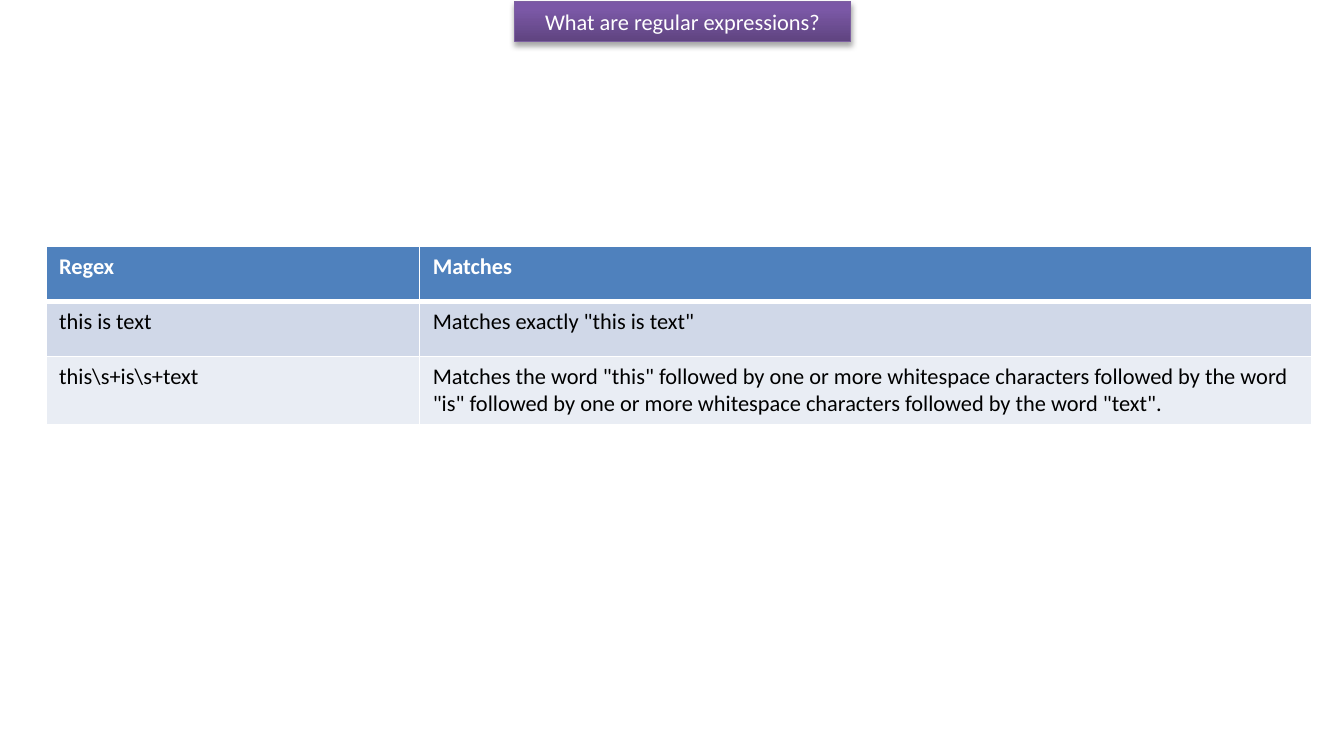
"""Build a slide that introduces regular expressions with a table of examples."""
import copy

from lxml import etree
from pptx import Presentation
from pptx import util as u
from pptx.dml.color import RGBColor
from pptx.enum import shapes, text
from pptx.oxml import ns

TITLE = "What are regular expressions?"
ROWS = [
    ("Regex", "Matches"),
    ("this is text", 'Matches exactly "this is text"'),
    (r"this\s+is\s+text",
     'Matches the word "this" followed by one or more whitespace characters '
     'followed by the word "is" followed by one or more whitespace characters '
     'followed by the word "text".'),
]
COLORS = {
    "white": "FFFFFF", "black": "000000", "header": "4F81BD",
    "odd": "D0D8E8", "even": "E9EDF4", "title_line": "7D60A0",
}
TITLE_GRADIENT = [(0, "5F4480"), (0.8, "7B58A6"), (1, "7C57A8")]
WIDTH, HEIGHT = 10, 5.5
TITLE_BOX = (3.83, 0.01, 2.5, 0.3)
TABLE_LEFT, TABLE_TOP = 0.34, HEIGHT / 3
COLUMN_WIDTHS = (2.78, 6.64)
ROW_HEIGHT = 0.41


def rgb(name):
    return RGBColor.from_string(COLORS[name])


def add_element(parent, tag, **attributes):
    values = {key: str(value) for key, value in attributes.items()}
    return etree.SubElement(parent, ns.qn(tag), values)


def write(frame, content, color="black", bold=False, align=text.PP_ALIGN.LEFT):
    paragraph = frame.paragraphs[0]
    paragraph.alignment = align
    run = paragraph.add_run()
    run.text = content
    run.font.name = "Calibri"
    run.font.size = u.Pt(12)
    run.font.bold = bold
    run.font.color.rgb = rgb(color)


def add_title(slide):
    shape = slide.shapes.add_shape(
        shapes.MSO_SHAPE.RECTANGLE, *(u.Inches(value) for value in TITLE_BOX))
    shape.line.color.rgb = rgb("title_line")
    shape.line.width = u.Pt(0.75)

    shape.fill.gradient()
    shape.fill.gradient_angle = 90
    stop_list = shape._element.spPr.find(".//" + ns.qn("a:gsLst"))
    stop_list.append(copy.deepcopy(stop_list[-1]))
    for stop, (position, color) in zip(shape.fill.gradient_stops, TITLE_GRADIENT):
        stop.position = position
        stop.color.rgb = RGBColor.from_string(color)

    shape.shadow.inherit = False
    effects = shape._element.spPr.find(ns.qn("a:effectLst"))
    shadow = add_element(effects, "a:outerShdw", blurRad=u.Pt(3.1), dist=u.Pt(1.8),
                         dir=90 * 60000, rotWithShape=0)
    shadow_color = add_element(shadow, "a:srgbClr", val=COLORS["black"])
    add_element(shadow_color, "a:alpha", val=35000)

    shape.text_frame.word_wrap = True
    shape.text_frame.vertical_anchor = text.MSO_ANCHOR.MIDDLE
    write(shape.text_frame, TITLE, color="white", align=text.PP_ALIGN.CENTER)


def set_borders(cell, bottom, top):
    properties = cell._tc.get_or_add_tcPr()
    for side, width in (("L", 1), ("R", 1), ("T", top), ("B", bottom)):
        line = add_element(properties, "a:ln" + side, w=u.Pt(width))
        fill = add_element(line, "a:solidFill")
        add_element(fill, "a:srgbClr", val=COLORS["white"])


def add_examples(slide):
    table = slide.shapes.add_table(
        len(ROWS), len(COLUMN_WIDTHS), u.Inches(TABLE_LEFT), u.Inches(TABLE_TOP),
        u.Inches(sum(COLUMN_WIDTHS)), u.Inches(ROW_HEIGHT * len(ROWS))).table
    for column, width in zip(table.columns, COLUMN_WIDTHS):
        column.width = u.Inches(width)
    for index, (row, contents) in enumerate(zip(table.rows, ROWS)):
        row.height = u.Inches(ROW_HEIGHT)
        header = index == 0
        fill = "header" if header else ("even", "odd")[index % 2]
        for cell, content in zip(row.cells, contents):
            set_borders(cell, bottom=3 if header else 1, top=3 if index == 1 else 1)
            cell.fill.solid()
            cell.fill.fore_color.rgb = rgb(fill)
            write(cell.text_frame, content,
                  color="white" if header else "black", bold=header)


def main():
    presentation = Presentation()
    presentation.slide_width = u.Inches(WIDTH)
    presentation.slide_height = u.Inches(HEIGHT)
    slide = presentation.slides.add_slide(presentation.slide_layouts[6])
    add_title(slide)
    add_examples(slide)
    presentation.save("out.pptx")


if __name__ == "__main__":
    main()
